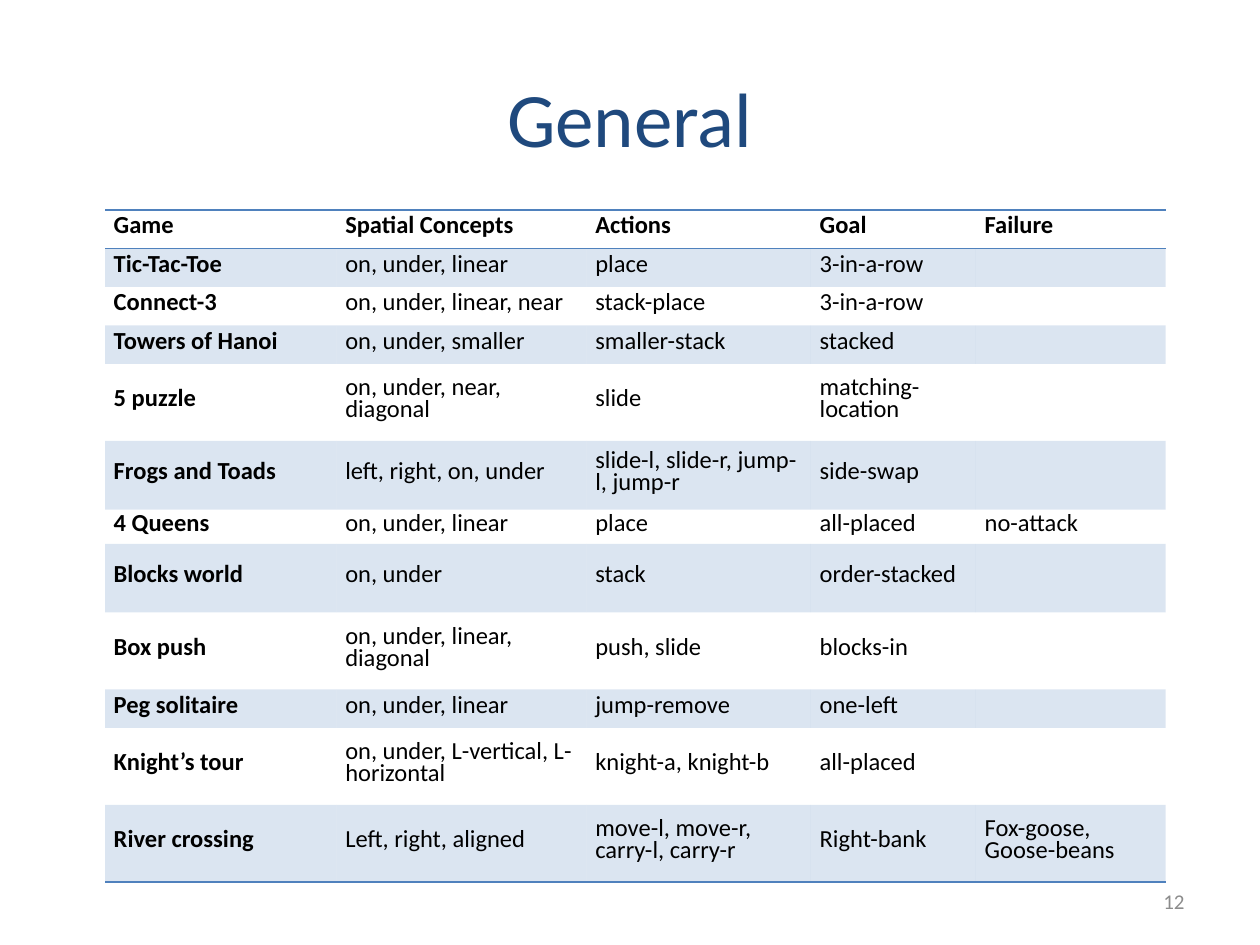
from lxml.etree import SubElement
from pptx import Presentation
from pptx.dml.color import RGBColor
from pptx.enum.text import MSO_ANCHOR, PP_ALIGN
from pptx.oxml import parse_xml
from pptx.oxml.ns import nsdecls, qn
from pptx.util import Pt

ACCENT = "4F81BD"
FONT = "Calibri"
PLAIN_TABLE_STYLE = "{2D5ABB26-0587-4C30-8999-92F81FD0307C}"
COLUMN_WIDTHS = [132.3, 142.9, 128.2, 94.3, 108.5]
ROW_HEIGHTS = [22, 22, 22, 22, 44, 39.2, 19.6, 39.2, 44, 22, 44, 44]
GAMES = [
    ["Game", "Spatial Concepts", "Actions", "Goal", "Failure"],
    ["Tic-Tac-Toe", "on, under, linear", "place", "3-in-a-row", ""],
    ["Connect-3", "on, under, linear, near", "stack-place", "3-in-a-row", ""],
    ["Towers of Hanoi", "on, under, smaller", "smaller-stack", "stacked", ""],
    ["5 puzzle", "on, under, near, diagonal", "slide", "matching-location", ""],
    ["Frogs and Toads", "left, right, on, under", "slide-l, slide-r, jump-l, jump-r", "side-swap", ""],
    ["4 Queens", "on, under, linear", "place", "all-placed", "no-attack"],
    ["Blocks world", "on, under", "stack", "order-stacked", ""],
    ["Box push", "on, under, linear, diagonal", "push, slide", "blocks-in", ""],
    ["Peg solitaire", "on, under, linear", "jump-remove", "one-left", ""],
    ["Knight’s tour", "on, under, L-vertical, L-horizontal", "knight-a, knight-b", "all-placed", ""],
    ["River crossing", "Left, right, aligned", "move-l, move-r, carry-l, carry-r", "Right-bank", "Fox-goose, Goose-beans"],
]
CELL_FORMAT = {
    "margin_left": Pt(5),
    "margin_right": Pt(5),
    "margin_top": 0,
    "margin_bottom": 0,
    "vertical_anchor": MSO_ANCHOR.MIDDLE,
}


def color(hex_value):
    return RGBColor.from_string(hex_value)


def apply_format(target, values):
    for name, value in values.items():
        setattr(target, name, value)


def write_text(paragraph, text, size, hex_color, bold=False):
    run = paragraph.add_run()
    run.text = text
    apply_format(run.font, {"name": FONT, "size": Pt(size), "bold": bold})
    run.font.color.rgb = color(hex_color)


def place(shape, left, top, width, height):
    apply_format(shape, {"left": Pt(left), "top": Pt(top), "width": Pt(width), "height": Pt(height)})


def add_title(slide, text):
    title = slide.shapes.title
    place(title, 36, 21.6, 648, 90)
    title.text_frame.vertical_anchor = MSO_ANCHOR.MIDDLE
    paragraph = title.text_frame.paragraphs[0]
    paragraph.alignment = PP_ALIGN.CENTER
    write_text(paragraph, text, 44, "1F497D")


def add_page_number(slide, text):
    box = slide.shapes.add_textbox(Pt(516), Pt(500.5), Pt(168), Pt(28.75))
    apply_format(box.text_frame, {"word_wrap": True, "vertical_anchor": MSO_ANCHOR.MIDDLE})
    paragraph = box.text_frame.paragraphs[0]
    paragraph.alignment = PP_ALIGN.RIGHT
    write_text(paragraph, text, 12, "8C8C8C")


def shade_cell(cell):
    cell.fill.solid()
    cell.fill.fore_color.rgb = color(ACCENT)
    fill_color = cell._tc.tcPr.find(".//" + qn("a:srgbClr"))
    SubElement(fill_color, qn("a:alpha"), val="20000")


def add_borders(cell, sides):
    for index, side in enumerate(sides):
        border = parse_xml(
            f'<a:ln{side} {nsdecls("a")} w="{Pt(1)}"><a:solidFill>'
            f'<a:srgbClr val="{ACCENT}"/></a:solidFill></a:ln{side}>'
        )
        cell._tc.get_or_add_tcPr().insert(index, border)


def fill_cell(cell, text, bold, shaded, sides):
    apply_format(cell, CELL_FORMAT)
    paragraph = cell.text_frame.paragraphs[0]
    paragraph.line_spacing = Pt(12.5)
    if text:
        write_text(paragraph, text, 14, "000000", bold)
    if shaded:
        shade_cell(cell)
    else:
        cell.fill.background()
    add_borders(cell, sides)


def add_game_table(slide):
    frame = slide.shapes.add_table(
        len(GAMES), len(COLUMN_WIDTHS), Pt(60), Pt(120),
        Pt(sum(COLUMN_WIDTHS)), Pt(sum(ROW_HEIGHTS)),
    )
    table = frame.table
    apply_format(table, {"first_row": False, "horz_banding": False})
    table._tbl.tblPr.find(qn("a:tableStyleId")).text = PLAIN_TABLE_STYLE
    for column, width in zip(table.columns, COLUMN_WIDTHS):
        column.width = Pt(width)
    for row, height in zip(table.rows, ROW_HEIGHTS):
        row.height = Pt(height)
    border_sides = {0: "TB", len(GAMES) - 1: "B"}
    for row_index, game in enumerate(GAMES):
        for column_index, text in enumerate(game):
            fill_cell(
                table.cell(row_index, column_index), text,
                bold=row_index == 0 or column_index == 0,
                shaded=row_index % 2 == 1,
                sides=border_sides.get(row_index, ""),
            )


def main():
    presentation = Presentation()
    apply_format(presentation, {"slide_width": Pt(720), "slide_height": Pt(540)})
    slide = presentation.slides.add_slide(presentation.slide_layouts[5])
    add_title(slide, "General")
    add_page_number(slide, "12")
    add_game_table(slide)
    presentation.save("out.pptx")


if __name__ == "__main__":
    main()
